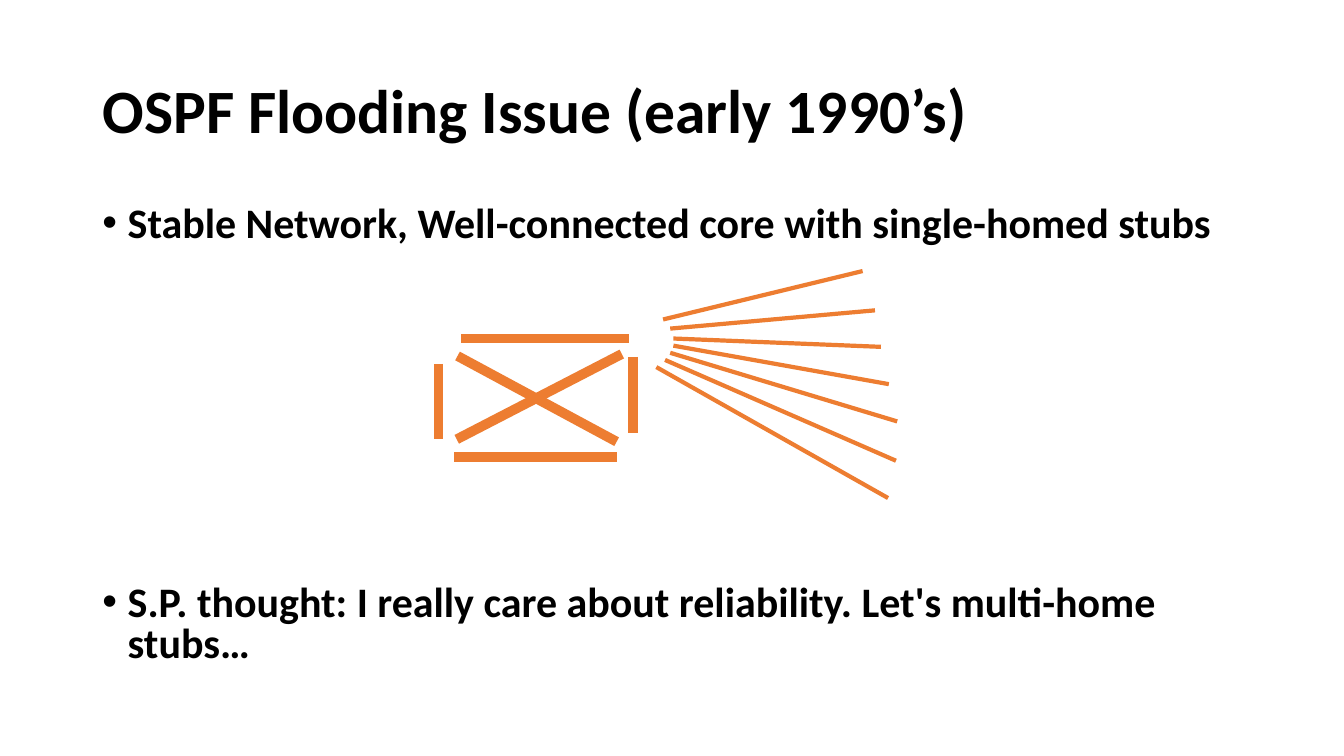
from lxml import etree
from pptx import Presentation
from pptx.dml.color import RGBColor
from pptx.enum.shapes import MSO_CONNECTOR
from pptx.enum.text import MSO_ANCHOR, MSO_AUTO_SIZE, PP_ALIGN
from pptx.oxml.ns import qn
from pptx.util import Cm, Pt

STRAIGHT = MSO_CONNECTOR.STRAIGHT
LEFT = PP_ALIGN.LEFT
MIDDLE, TOP = MSO_ANCHOR.MIDDLE, MSO_ANCHOR.TOP
NO_AUTOFIT = MSO_AUTO_SIZE.NONE

ORANGE = RGBColor(0xED, 0x7D, 0x31)
BLACK = RGBColor(0, 0, 0)
FONT = "Calibri"

TITLE = "OSPF Flooding Issue (early 1990’s)"
# Bullet text and the space before it in points; the second clears the diagram
BULLETS = [
    ("Stable Network, Well-connected core with single-homed stubs", 0),
    ("S.P. thought: I really care about reliability. Let's multi-home stubs…", 242),
]

# Line ends in centimetres: x1, y1, x2, y2
STUB_LINKS = [
    (21.74, 6.83, 16.71, 8.05),
    (22.05, 7.82, 16.89, 8.28),
    (22.2, 8.74, 16.97, 8.53),
    (22.4, 9.68, 16.97, 8.71),
    (22.61, 10.62, 16.89, 8.89),
    (22.58, 11.61, 16.76, 9.07),
    (22.38, 12.55, 16.54, 9.25),
]
CORE_LINKS = [
    (11.63, 8.53, 15.85, 8.53),
    (15.95, 8.99, 15.95, 10.9),
    (15.54, 11.51, 11.43, 11.51),
    (11.05, 9.17, 11.05, 11.07),
    (11.53, 8.97, 15.54, 11.13),
    (11.51, 11.07, 15.67, 8.92),
]
LINK_GROUPS = [(STUB_LINKS, 3), (CORE_LINKS, 7)]

MARGIN, TEXT_WIDTH = Cm(2.33), Cm(29.21)
BULLET_INDENT = Cm(0.64)


def add_link(slide, ends, width):
    connector = slide.shapes.add_connector(STRAIGHT, *(Cm(value) for value in ends))
    connector.line.color.rgb = ORANGE
    connector.line.width = Pt(width)
    etree.SubElement(connector._element.spPr, qn("a:effectLst"))


def prepare_frame(shape, anchor):
    frame = shape.text_frame
    frame.word_wrap = True
    frame.auto_size = NO_AUTOFIT
    frame.vertical_anchor = anchor
    return frame


def format_paragraph(paragraph, size, line_spacing):
    paragraph.alignment = LEFT
    paragraph.line_spacing = line_spacing
    paragraph.font.name = FONT
    paragraph.font.size = Pt(size)
    paragraph.font.bold = True
    paragraph.font.color.rgb = BLACK


def add_bullet(paragraph):
    properties = paragraph._p.get_or_add_pPr()
    properties.set("marL", str(BULLET_INDENT))
    properties.set("indent", str(-BULLET_INDENT))
    etree.SubElement(properties, qn("a:buFont")).set("typeface", "Arial")
    etree.SubElement(properties, qn("a:buChar")).set("char", "•")


def add_title(slide):
    title = slide.shapes.title
    title.left, title.top, title.width, title.height = MARGIN, Cm(1.01), TEXT_WIDTH, Cm(3.68)
    frame = prepare_frame(title, MIDDLE)
    frame.text = TITLE
    format_paragraph(frame.paragraphs[0], 44, 0.9)


def add_bullets(slide):
    body = slide.shapes.add_textbox(MARGIN, Cm(5.08), TEXT_WIDTH, Cm(12.09))
    frame = prepare_frame(body, TOP)
    for index, (text, space_before) in enumerate(BULLETS):
        paragraph = frame.add_paragraph() if index else frame.paragraphs[0]
        paragraph.text = text
        add_bullet(paragraph)
        format_paragraph(paragraph, 30, 0.8)
        paragraph.space_before = Pt(space_before)


def main():
    presentation = Presentation()
    presentation.slide_width, presentation.slide_height = Cm(33.87), Cm(19.05)
    title_only = presentation.slide_layouts.get_by_name("Title Only")
    slide = presentation.slides.add_slide(title_only)
    for links, width in LINK_GROUPS:
        for ends in links:
            add_link(slide, ends, width)
    add_title(slide)
    add_bullets(slide)
    presentation.save("out.pptx")


if __name__ == "__main__":
    main()
